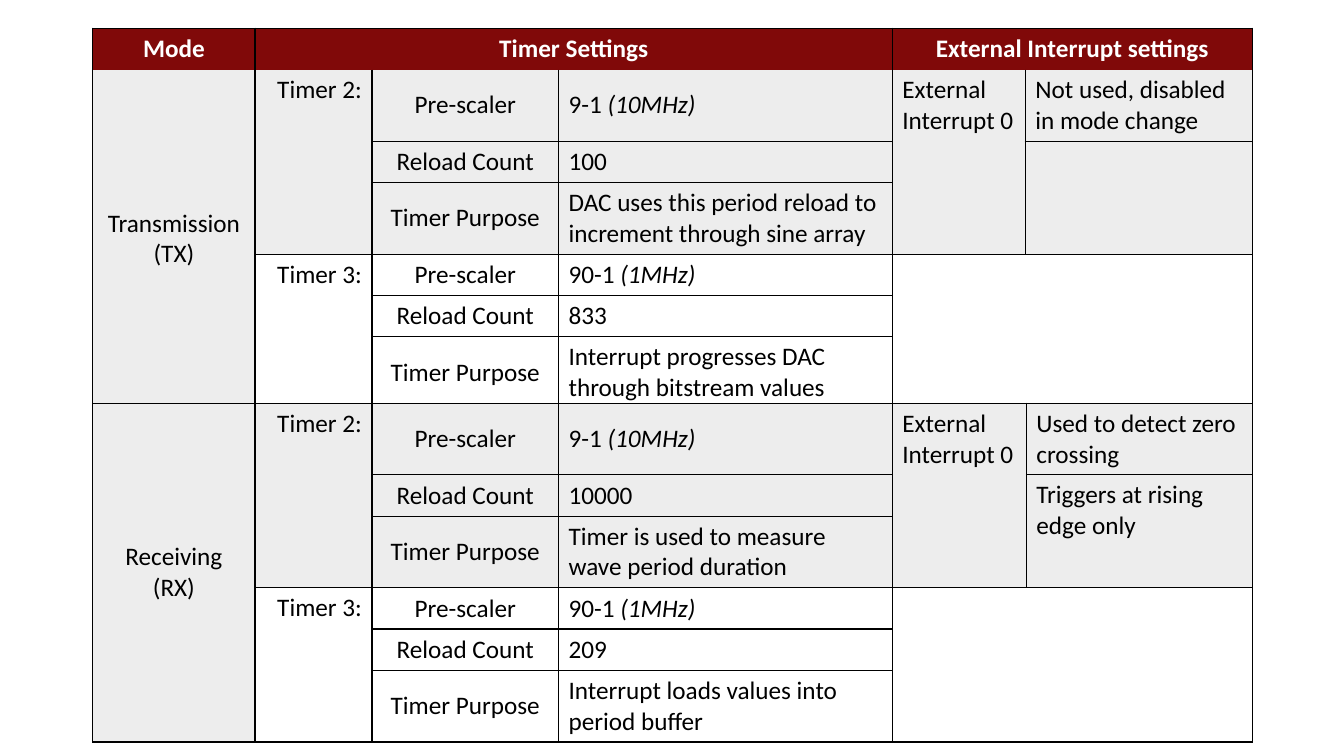
"""Build a slide with the timer and interrupt settings of each radio mode."""
from lxml import etree
from pptx import Presentation
from pptx import util as u
from pptx.dml.color import RGBColor
from pptx.enum import text as t
from pptx.oxml import ns

BLACK = RGBColor(0x00, 0x00, 0x00)
WHITE = RGBColor(0xFF, 0xFF, 0xFF)
MAROON = RGBColor(0x80, 0x09, 0x09)
GREY = RGBColor(0xED, 0xED, 0xED)
LEFT, WIDTH, ROW = 0.92, 11.5, 0.41
SETTING_COLUMNS = [1.61, 1.16, 1.85, 3.31]
SETTING_NAMES = ["Pre-scaler", "Reload Count", "Timer Purpose"]
CENTER, RIGHT = t.PP_ALIGN.CENTER, t.PP_ALIGN.RIGHT
MIDDLE, TOP = t.MSO_ANCHOR.MIDDLE, t.MSO_ANCHOR.TOP


def write(cell, text, italic="", color=BLACK, bold=False, align=None, anchor=TOP):
    """Write one paragraph per line, with an optional italic ending."""
    cell.vertical_anchor = anchor
    frame = cell.text_frame
    for number, line in enumerate(text.split("\n")):
        paragraph = frame.add_paragraph() if number else frame.paragraphs[0]
        paragraph.alignment = align
        for words, slanted in ((line, False), (italic, True)):
            if words:
                run = paragraph.add_run()
                run.text = words
                run.font.name, run.font.size = "Calibri", u.Pt(18)
                run.font.bold, run.font.italic = bold, slanted
                run.font.color.rgb = color


def draw_borders(cell, edges):
    """Draw the named edges in black and leave the others open."""
    properties = cell._tc.get_or_add_tcPr()
    for edge in "LRTB":
        line = etree.SubElement(properties, ns.qn(f"a:ln{edge}"), w=str(u.Pt(1)))
        if edge in edges:
            solid = etree.SubElement(line, ns.qn("a:solidFill"))
            etree.SubElement(solid, ns.qn("a:srgbClr"), val=str(BLACK))
        else:
            etree.SubElement(line, ns.qn("a:noFill"))


def put(table, row, column, text="", fill=WHITE, edges="LRTB", span=(1, 1), **style):
    """Fill, border and write a cell that may span rows and columns."""
    rows, columns = span
    for down in range(rows):
        for across in range(columns):
            part = table.cell(row + down, column + across)
            draw_borders(part, edges)
            part.fill.solid()
            part.fill.fore_color.rgb = fill
    cell = table.cell(row, column)
    if span != (1, 1):
        cell.merge(table.cell(row + rows - 1, column + columns - 1))
    write(cell, text, **style)


def add_grid(slide, top, height, rows, interrupt_columns):
    """Add an unstyled table with equal rows."""
    widths = SETTING_COLUMNS + interrupt_columns
    frame = slide.shapes.add_table(rows, len(widths), u.Inches(LEFT), u.Inches(top),
                                   u.Inches(WIDTH), u.Inches(height))
    table = frame.table
    table.first_row = table.horz_banding = False
    for column, width in zip(table.columns, widths):
        column.width = u.Inches(width)
    for row in table.rows:
        row.height = u.Inches(ROW)
    frame.height = u.Inches(height)
    return table


def put_open_column(table, row, column, text, fill, first_edges, **style):
    """Stack three cells without lines between them, with text in the first."""
    for step, edges in enumerate((first_edges, "LR", "LRB")):
        put(table, row + step, column, "" if step else text, fill, edges, **style)


def put_timer(table, row, name, values, fill, first_edges, top):
    """Write the three settings of one timer."""
    put_open_column(table, row, 1, name, fill, "LR" + top, align=RIGHT)
    for step, (setting, (value, italic)) in enumerate(zip(SETTING_NAMES, values)):
        edges = "LRTB" if step else first_edges
        put(table, row + step, 2, setting, fill, edges, align=CENTER, anchor=MIDDLE)
        put(table, row + step, 3, value, fill, edges, italic=italic, anchor=MIDDLE)


def put_mode(table, row, mode, counts, purposes, notes, top):
    """Write the timers and interrupt notes of one mode."""
    edges = "LRB" + top
    put(table, row, 0, mode, GREY, edges, (6, 1), align=CENTER, anchor=MIDDLE)
    scalers = [("9-1 ", "(10MHz)"), ("90-1 ", "(1MHz)")]
    for index, (scaler, count, purpose) in enumerate(zip(scalers, counts, purposes)):
        put_timer(table, row + 3 * index, f"Timer {index + 2}:",
                  [scaler, (count, ""), (purpose, "")],
                  WHITE if index else GREY,
                  "LRTB" if index else edges, "T" if index else top)
    put_open_column(table, row, 4, "External Interrupt 0", GREY, "LR" + top)
    put(table, row, 5, notes[0], GREY, edges)
    put(table, row + 1, 5, notes[1], GREY, span=(2, 1))
    put(table, row + 3, 4, span=(3, 2))


def main():
    """Build and save the slide."""
    presentation = Presentation()
    presentation.slide_width, presentation.slide_height = u.Inches(13.33), u.Inches(7.5)
    slide = presentation.slides.add_slide(presentation.slide_layouts[6])

    transmission = add_grid(slide, 0.28, 3.72, 7, [1.32, 2.25])
    for column, title, columns in ((0, "Mode", 1), (1, "Timer Settings", 3),
                                   (4, "External Interrupt settings", 2)):
        put(transmission, 0, column, title, MAROON, "LRT", (1, columns),
            color=WHITE, bold=True, align=CENTER, anchor=MIDDLE)
    put_mode(transmission, 1, "Transmission\n(TX)", ["100", "833"],
             ["DAC uses this period reload to increment through sine array",
              "Interrupt progresses DAC through bitstream values"],
             ["Not used, disabled in mode change", ""], top="")

    receiving = add_grid(slide, 4, 3.32, 6, [1.33, 2.24])
    put_mode(receiving, 0, "Receiving\n(RX)", ["10000", "209"],
             ["Timer is used to measure wave period duration",
              "Interrupt loads values into period buffer"],
             ["Used to detect zero crossing", "Triggers at rising edge only"], top="T")
    presentation.save("out.pptx")


if __name__ == "__main__":
    main()
